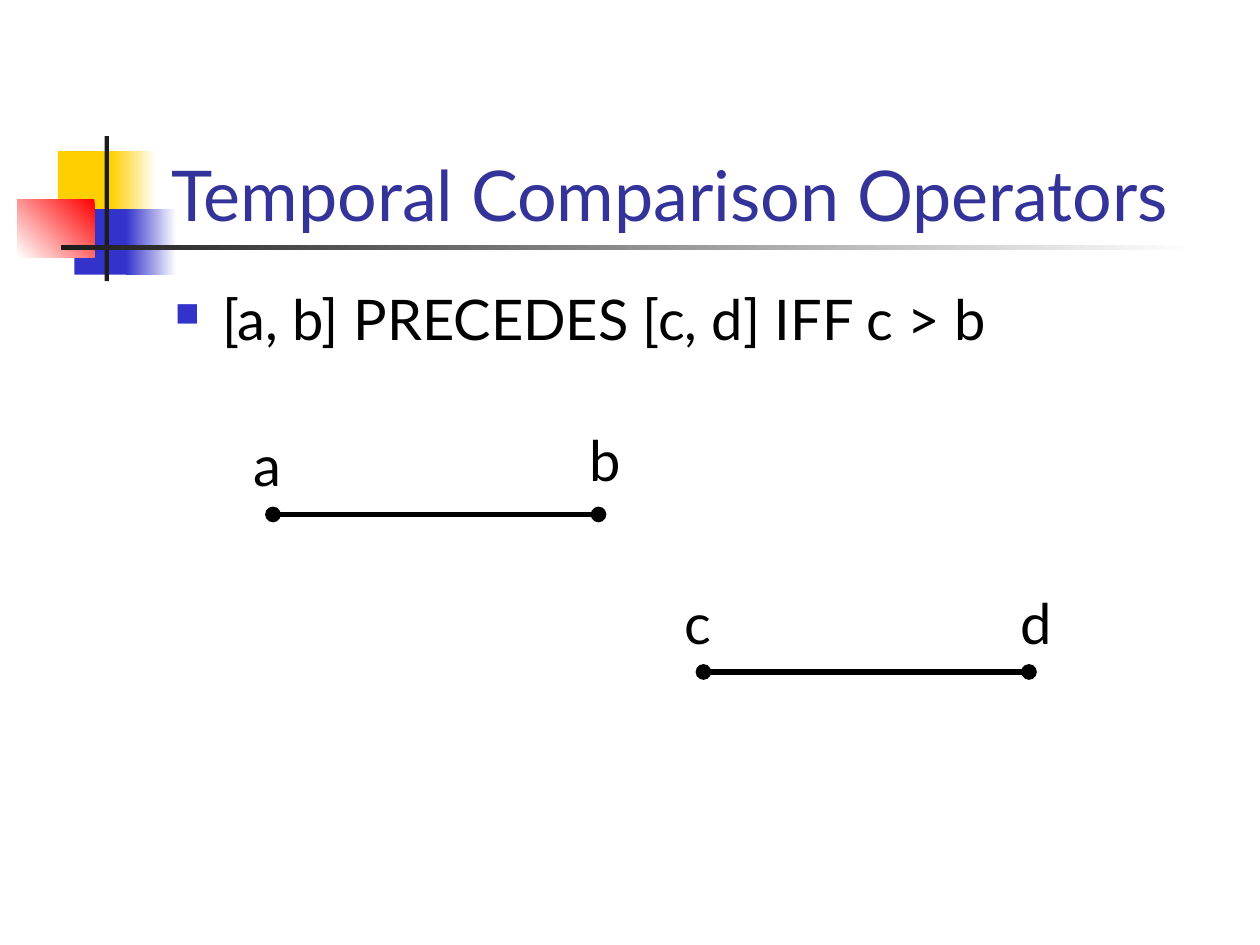
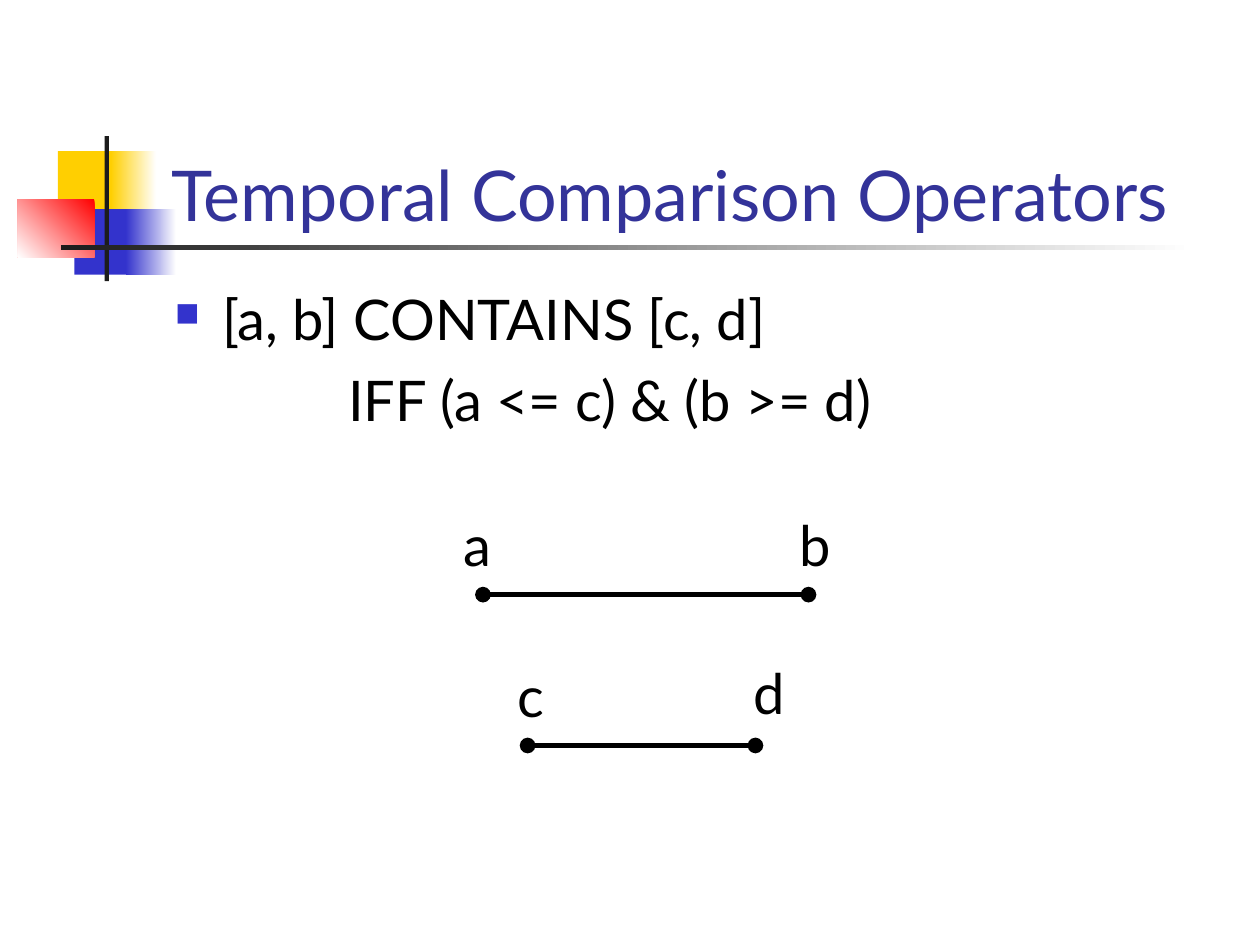
import pptx
import pptx.dml.color
import pptx.enum.shapes
import pptx.enum.text
import pptx.oxml
import pptx.oxml.ns
import pptx.util
from lxml import etree

Pt = pptx.util.Pt
Align = pptx.enum.text.PP_ALIGN
Anchor = pptx.enum.text.MSO_ANCHOR

COLORS = {
    "title": "333399", "text": "000000", "white": "FFFFFF", "yellow": "FFCF01",
    "blue": "3333CC", "red": "FF0000", "rule": "1C1C1C",
}


def rgb(name):
    return pptx.dml.color.RGBColor.from_string(COLORS[name])


def sub(parent, tag, **attrs):
    return etree.SubElement(parent, pptx.oxml.ns.qn(tag), **attrs)


class Deck:
    FONT = "Lato"
    TITLE_SIZE = 40
    BODY_SIZE = 32
    INDENT = 27
    DEEP_INDENT = 99
    INTERVAL = 186  # length of a full-scale interval

    def __init__(self):
        self.prs = pptx.Presentation()
        self.prs.slide_width, self.prs.slide_height = Pt(720), Pt(540)
        self.s = None

    def slide(self, title):
        self.s = self.prs.slides.add_slide(self.prs.slide_layouts[6])
        self.ornament()
        tf = self.box(self.s.shapes, 90.7, 48.2, 613.4, 90)
        tf.vertical_anchor = Anchor.BOTTOM
        self.run(tf.paragraphs[0], title, self.TITLE_SIZE, "title")

    def ornament(self):
        # Coloured squares, then the cross of thin bars
        self.rect(33.1, 86.4, 34.6, 37.4, "yellow")
        self.rect(63.4, 86.4, 25.9, 37.4, "yellow", fade=0)
        self.rect(42.5, 119.5, 33.1, 37.4, "blue")
        self.rect(72, 119.5, 28.8, 37.4, "blue", fade=0)
        self.rect(10.1, 113.8, 43.9, 33.1, "red", fade=225)
        self.rect(59.8, 77.8, 2.5, 82.8, "rule")
        self.rect(34.6, 140.2, 648, 2.5, "rule", fade=0)

    def rect(self, x, y, w, h, color, fade=None):
        """Solid rectangle, or one fading to white at the angle given."""
        sp = self.s.shapes.add_shape(
            pptx.enum.shapes.MSO_SHAPE.RECTANGLE, Pt(x), Pt(y), Pt(w), Pt(h))
        sp.shadow.inherit = False
        sp.line.fill.background()
        if fade is None:
            sp.fill.solid()
            sp.fill.fore_color.rgb = rgb(color)
            return
        sp.fill.gradient()
        sp.fill.gradient_angle = fade
        for stop, name, pos in zip(sp.fill.gradient_stops, (color, "white"), (0, 1)):
            stop.color.rgb = rgb(name)
            stop.position = pos

    def box(self, shapes, x, y, w, h):
        tf = shapes.add_textbox(Pt(x), Pt(y), Pt(w), Pt(h)).text_frame
        tf.word_wrap = True
        return tf

    def run(self, p, text, size, color):
        r = p.add_run()
        r.text = text
        r.font.name, r.font.size = self.FONT, Pt(size)
        r.font.color.rgb = rgb(color)

    def body(self, bullet, continuation=None):
        tf = self.box(self.s.shapes, 92.9, 159.1, 612, 324)
        p = tf.paragraphs[0]
        pPr = p._p.get_or_add_pPr()
        pPr.set("marL", str(Pt(self.INDENT)))
        pPr.set("indent", str(-Pt(self.INDENT)))
        sub(sub(pPr, "a:buClr"), "a:srgbClr", val=COLORS["blue"])
        sub(pPr, "a:buSzPct", val="60000")
        sub(pPr, "a:buChar", char="■")
        self.run(p, bullet, self.BODY_SIZE, "text")
        if continuation:
            p = tf.add_paragraph()
            p.space_before = Pt(8)
            p._p.get_or_add_pPr().set("marL", str(Pt(self.DEEP_INDENT)))
            self.run(p, continuation, self.BODY_SIZE, "text")

    def interval(self, x, y, names, scale=1, lift=0):
        """Labelled interval; lift raises the label of its end."""
        shapes = self.s.shapes.add_group_shape().shapes
        end = x + self.INTERVAL * scale
        line = shapes.add_connector(
            pptx.enum.shapes.MSO_CONNECTOR.STRAIGHT, Pt(x), Pt(y), Pt(end), Pt(y))
        line.line.color.rgb = rgb("text")
        line.line.width = Pt(3)
        ln = line.line._get_or_add_ln()
        for tag in ("a:headEnd", "a:tailEnd"):
            sub(ln, tag, type="oval")
        sub(line._element.spPr, "a:effectLst")
        labels = ((x - 18 * scale, 0), (end - 12 * scale, lift))
        for name, (left, rise) in zip(names, labels):
            tf = self.box(shapes, left, y - 51.4 - rise, 30 * scale, 46)
            p = tf.paragraphs[0]
            p.alignment = Align.CENTER
            self.run(p, name, self.BODY_SIZE, "text")


def main():
    deck = Deck()
    title = "Temporal Comparison Operators"

    # PRECEDES: the second interval starts after the first ends
    deck.slide(title)
    deck.body("[a, b] PRECEDES [c, d] IFF c > b")
    deck.interval(156, 294, "ab", lift=3)
    deck.interval(402, 384, "cd")

    # CONTAINS: the second interval lies within the first
    deck.slide(title)
    deck.body("[a, b] CONTAINS [c, d]", "IFF (a <= c) & (b >= d)")
    deck.interval(301.5, 426, "cd", scale=0.7, lift=2)
    deck.interval(276, 339.8, "ab")

    deck.prs.save("out.pptx")


if __name__ == "__main__":
    main()
